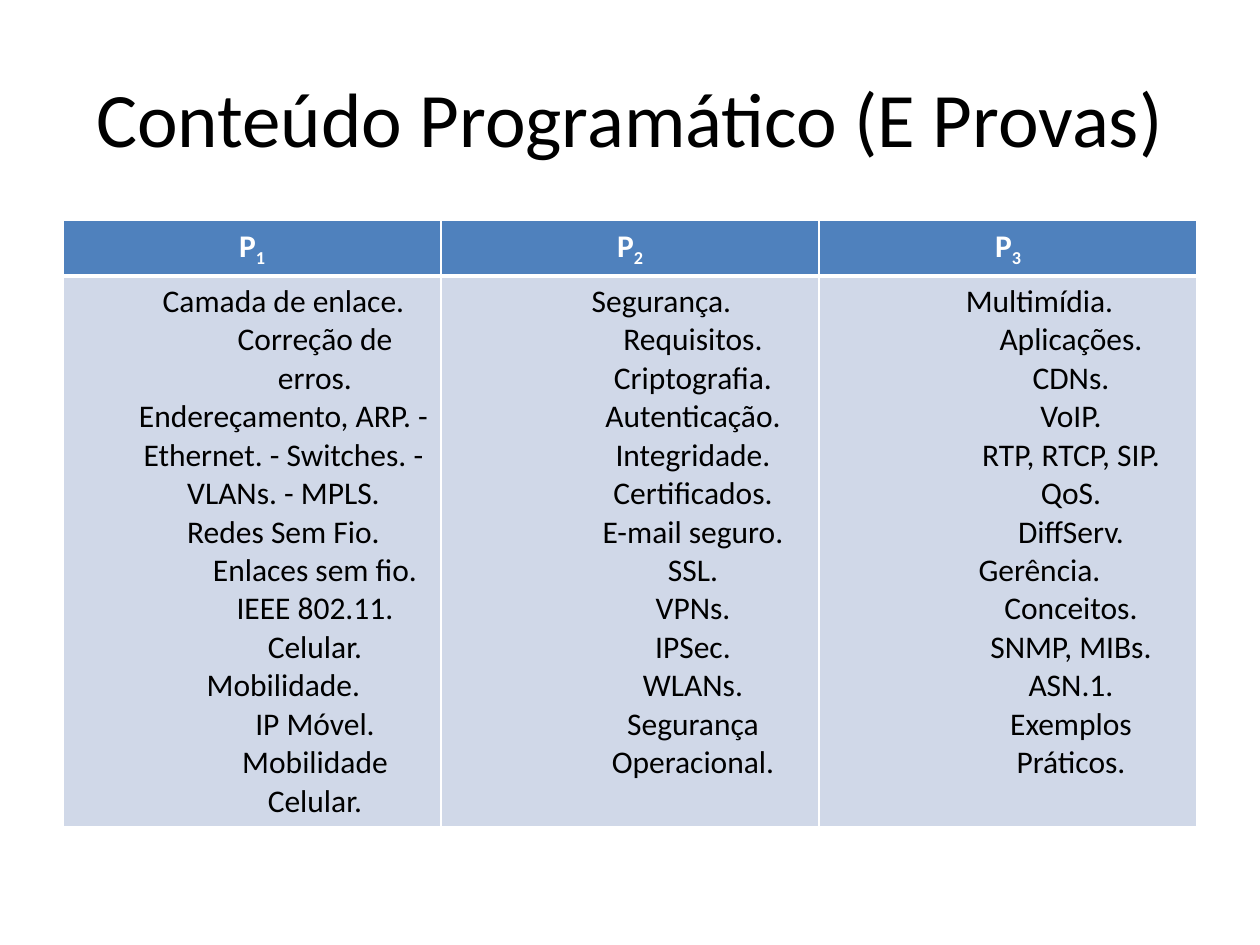
from lxml import etree
from pptx import Presentation
from pptx.dml.color import RGBColor
from pptx.enum.text import MSO_ANCHOR, PP_ALIGN
from pptx.oxml.ns import qn
from pptx.util import Cm, Pt

CENTER = PP_ALIGN.CENTER
MIDDLE = MSO_ANCHOR.MIDDLE
BLACK = RGBColor(0x00, 0x00, 0x00)
WHITE = RGBColor(0xFF, 0xFF, 0xFF)
BLUE = RGBColor(0x4F, 0x81, 0xBD)
PALE_BLUE = RGBColor(0xD0, 0xD8, 0xE8)

TITLE_FONT = {"name": "Calibri", "size": Pt(44)}
HEADER_FONT = {"name": "Calibri", "size": Pt(18), "bold": True}
TOPIC_FONT = {"name": "Calibri", "size": Pt(18), "bold": False}
INDENT = Cm(1.27)

EXAMS = [
    [
        (1, "Camada de enlace."),
        (2, "Correção de erros."),
        (1, "Endereçamento, ARP. - Ethernet. - Switches. - VLANs. - MPLS."),
        (1, "Redes Sem Fio."),
        (2, "Enlaces sem fio."),
        (2, "IEEE 802.11."),
        (2, "Celular."),
        (1, "Mobilidade."),
        (2, "IP Móvel."),
        (2, "Mobilidade Celular."),
    ],
    [
        (1, "Segurança."),
        (2, "Requisitos."),
        (2, "Criptografia."),
        (2, "Autenticação."),
        (2, "Integridade."),
        (2, "Certificados."),
        (2, "E-mail seguro."),
        (2, "SSL."),
        (2, "VPNs."),
        (2, "IPSec."),
        (2, "WLANs."),
        (2, "Segurança Operacional."),
    ],
    [
        (1, "Multimídia."),
        (2, "Aplicações."),
        (2, "CDNs."),
        (2, "VoIP."),
        (2, "RTP, RTCP, SIP."),
        (2, "QoS."),
        (2, "DiffServ."),
        (1, "Gerência."),
        (2, "Conceitos."),
        (2, "SNMP, MIBs."),
        (2, "ASN.1."),
        (2, "Exemplos Práticos."),
    ],
]


def add_span(para, text, font, color):
    span = para.add_run()
    span.text = text
    for name, value in font.items():
        setattr(span.font, name, value)
    span.font.color.rgb = color
    return span


def style_cell(cell, fill, bottom_width):
    properties = cell._tc.get_or_add_tcPr()
    widths = {"a:lnL": Pt(1), "a:lnR": Pt(1), "a:lnT": Pt(1), "a:lnB": bottom_width}
    for side, width in widths.items():
        line = etree.SubElement(properties, qn(side), w=str(width))
        line_fill = etree.SubElement(line, qn("a:solidFill"))
        etree.SubElement(line_fill, qn("a:srgbClr"), val=str(WHITE))
    cell.fill.solid()
    cell.fill.fore_color.rgb = fill


deck = Presentation()
deck.slide_width, deck.slide_height = Cm(25.4), Cm(19.05)
page = deck.slides.add_slide(deck.slide_layouts[5])

title = page.shapes.title
title.left, title.top, title.width, title.height = Cm(1.27), Cm(0.76), Cm(22.86), Cm(3.18)
title.text_frame.vertical_anchor = MIDDLE
title_para = title.text_frame.paragraphs[0]
title_para.alignment = CENTER
add_span(title_para, "Conteúdo Programático (E Provas)", TITLE_FONT, BLACK)

table = page.shapes.add_table(2, len(EXAMS), Cm(1.27), Cm(4.45), Cm(22.86), Cm(12.2)).table
table.rows[0].height, table.rows[1].height = Cm(1.11), Cm(11.09)

for column, topics in enumerate(EXAMS):
    table.columns[column].width = Cm(7.62)

    header = table.cell(0, column)
    style_cell(header, BLUE, Pt(3))
    header_para = header.text_frame.paragraphs[0]
    header_para.alignment = CENTER
    add_span(header_para, "P", HEADER_FONT, WHITE)
    number = add_span(header_para, str(column + 1), HEADER_FONT, WHITE)
    number.font._element.set("baseline", "-25000")

    body = table.cell(1, column)
    style_cell(body, PALE_BLUE, Pt(1))
    for index, (level, topic) in enumerate(topics):
        frame = body.text_frame
        para = frame.add_paragraph() if index else frame.paragraphs[0]
        para.alignment = CENTER
        para.level = level
        indents = para._p.get_or_add_pPr()
        indents.set("marL", str(level * INDENT))
        indents.set("indent", "0")
        add_span(para, topic, TOPIC_FONT, BLACK)

deck.save("out.pptx")
